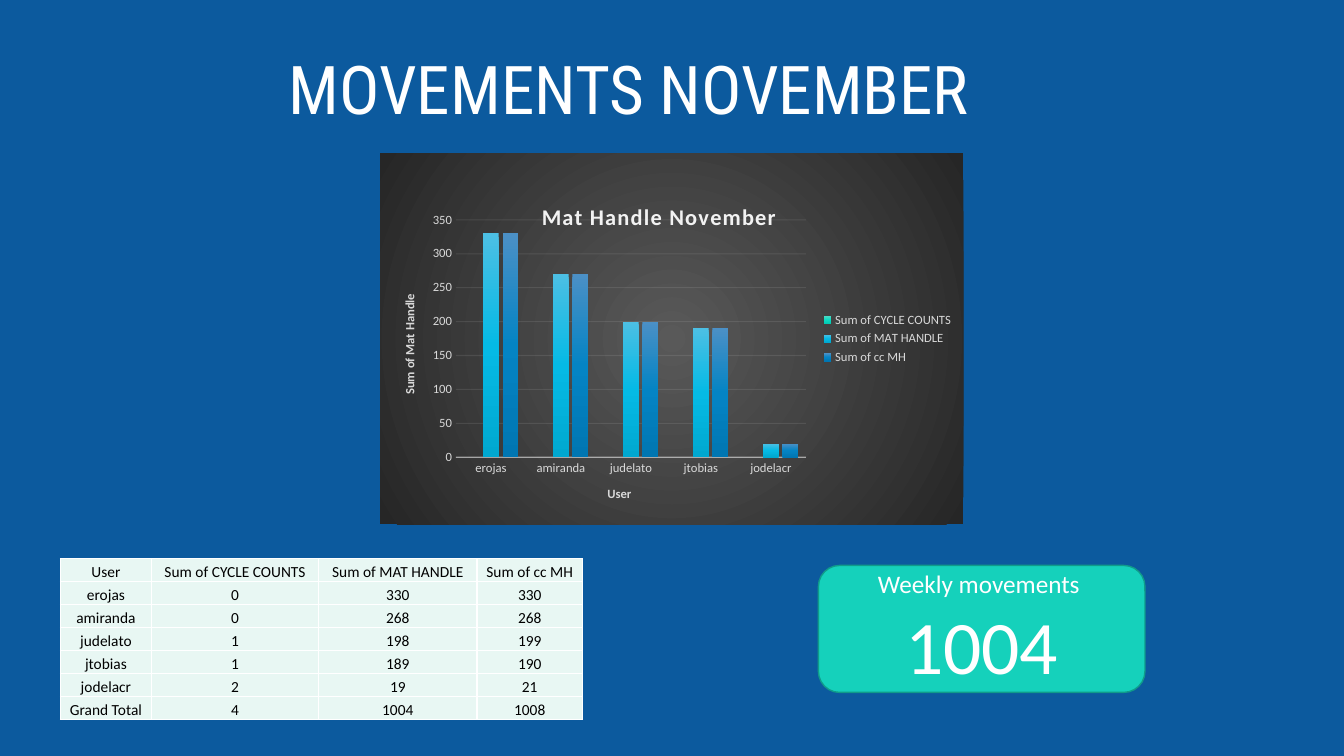
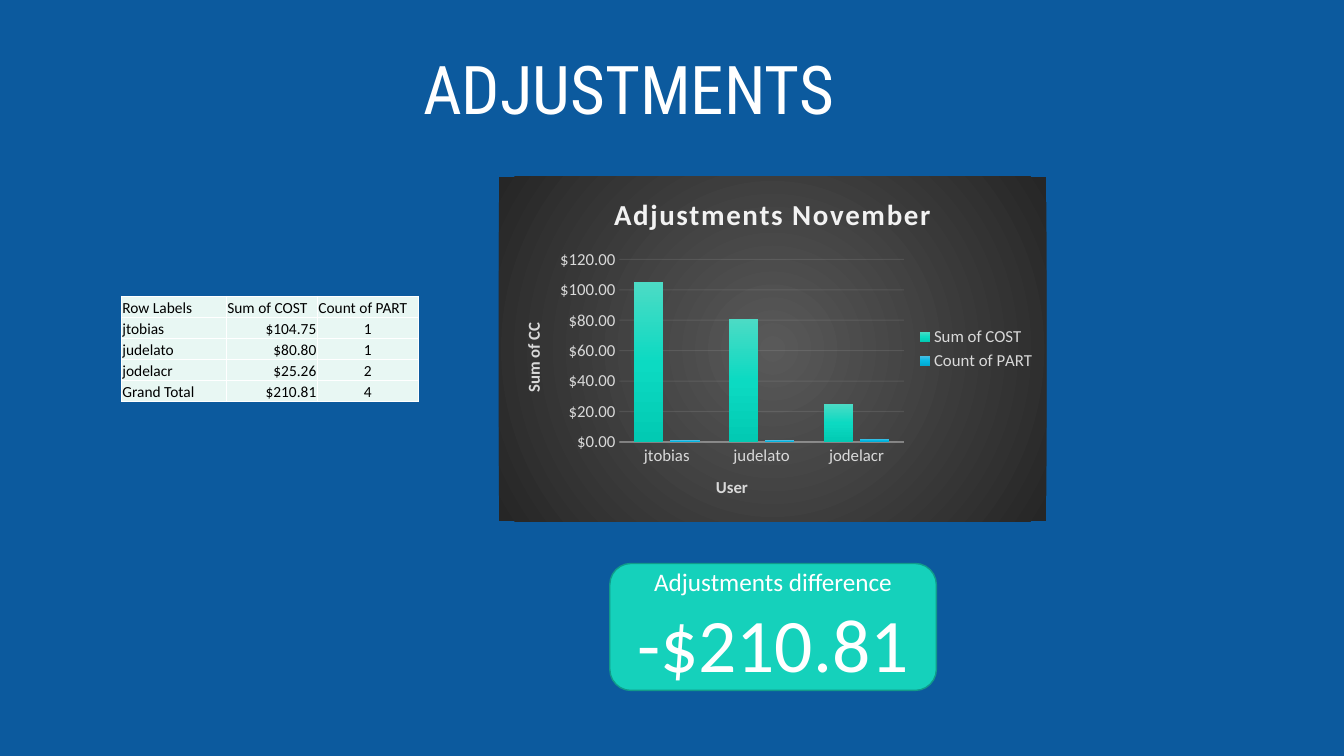
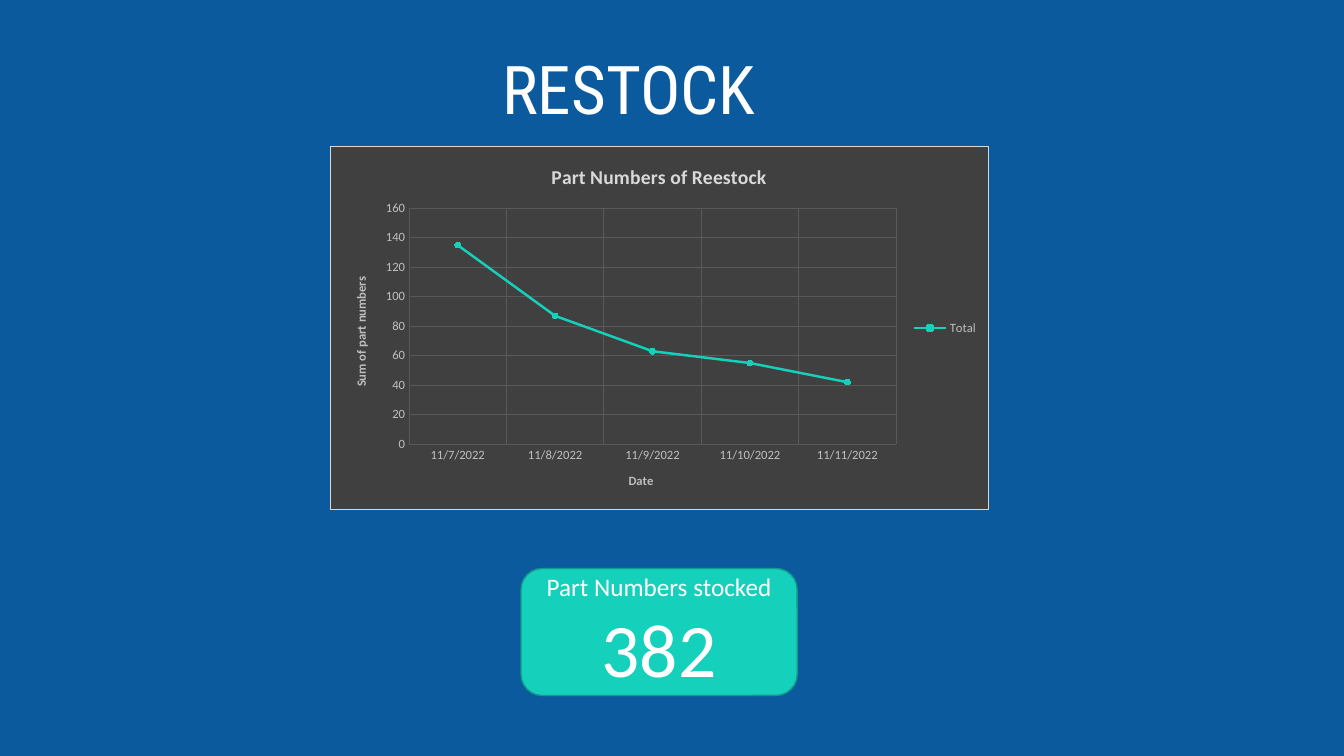
"""Build the three November warehouse report slides."""
import dataclasses

import lxml.etree
import pptx
import pptx.chart.data
import pptx.dml.color
import pptx.enum.chart
import pptx.enum.shapes
import pptx.enum.text
import pptx.oxml
import pptx.oxml.ns
import pptx.util

Pt = pptx.util.Pt
ALIGN = pptx.enum.text.PP_ALIGN
ANCHOR = pptx.enum.text.MSO_ANCHOR
CHART = pptx.enum.chart.XL_CHART_TYPE
qn = pptx.oxml.ns.qn
NAMESPACES = pptx.oxml.ns.nsdecls("a", "c")


@dataclasses.dataclass(frozen=True)
class Theme:
    """Colours, fonts and type sizes of the deck."""

    background: str = "0C5A9E"
    white: str = "FFFFFF"
    black: str = "000000"
    teal: str = "15D1BB"
    teal_edge: str = "109B8A"
    cell: str = "E8F7F3"
    bright: str = "F2F2F2"
    label: str = "D9D9D9"
    muted: str = "BFBFBF"
    charcoal: str = "404040"
    grid: str = "595959"
    panel: tuple = ("595959", "262626")
    teal_bar: tuple = ("4CDBC5", "0CDAC2", "02CAB3")
    cyan_bar: tuple = ("4CBFE4", "05BAE5", "00A8D0")
    blue_bar: tuple = ("4B90C6", "0484C4", "0076B2")
    body_font: str = "Calibri"
    title_font: str = "Roboto Condensed"
    title_size: int = 48
    figure_size: int = 54
    caption_size: int = 18
    table_size: int = 11


THEME = Theme()


@dataclasses.dataclass(frozen=True)
class ChartStyle:
    """Type sizes, colours and plot position of one chart."""

    plot: tuple
    scale: tuple
    title_size: float
    label_size: int = 9
    label: str = THEME.label
    title: str = THEME.bright
    spacing: int = 100
    title_at: tuple = ()
    number_format: str = "General"


def rgb(value):
    """Return a colour object for a hex string."""
    return pptx.dml.color.RGBColor.from_string(value)


def apply(target, values):
    """Set each named value on the target."""
    for name, value in values.items():
        setattr(target, name, value)


def style_font(font, size, color, name=THEME.body_font, bold=False):
    """Give a font its size, colour, family and weight."""
    apply(font, {"size": Pt(size), "name": name, "bold": bold})
    font.color.rgb = rgb(color)


def style_line(line, color, width, alpha=100):
    """Give a line its colour, width and opacity in percent."""
    line.color.rgb = rgb(color)
    line.width = Pt(width)
    if alpha < 100:
        tint = line._get_or_add_ln().find(".//" + qn("a:srgbClr"))
        lxml.etree.SubElement(tint, qn("a:alpha")).set("val", str(alpha * 1000))


def fill_solid(target, color):
    """Fill the target with one colour."""
    target.fill.solid()
    target.fill.fore_color.rgb = rgb(color)


def gradient_xml(colors, direction):
    """Return gradient fill markup with evenly spaced stops."""
    step = 100000 // (len(colors) - 1)
    stops = "".join(
        f'<a:gs pos="{index * step}"><a:srgbClr val="{color}"/></a:gs>'
        for index, color in enumerate(colors))
    return f"<a:gradFill {NAMESPACES}><a:gsLst>{stops}</a:gsLst>{direction}</a:gradFill>"


def write_para(para, text, size, color, align=ALIGN.CENTER, name=THEME.body_font):
    """Write one styled run into a paragraph."""
    para.alignment = align
    span = para.add_run()
    span.text = text
    style_font(span.font, size, color, name)


def add_page(deck, title):
    """Add a blank slide with the shared title."""
    page = deck.slides.add_slide(deck.slide_layouts[6])
    box = page.shapes.add_textbox(Pt(167), Pt(26), Pt(564.5), Pt(69.8))
    apply(box.text_frame, {
        "word_wrap": True, "vertical_anchor": ANCHOR.BOTTOM,
        "margin_left": 0, "margin_right": 0})
    para = box.text_frame.paragraphs[0]
    para.line_spacing = 0.9
    write_para(para, title, THEME.title_size, THEME.white, name=THEME.title_font)
    return page


def add_card(page, left, top, width, caption, figure):
    """Add a rounded card with a caption above a large figure."""
    card = page.shapes.add_shape(
        pptx.enum.shapes.MSO_SHAPE.ROUNDED_RECTANGLE,
        Pt(left), Pt(top), Pt(width), Pt(90.7))
    card.shadow.inherit = False
    fill_solid(card, THEME.teal)
    style_line(card.line, THEME.teal_edge, 1)
    frame = card.text_frame
    apply(frame, {"word_wrap": True, "vertical_anchor": ANCHOR.MIDDLE})
    write_para(frame.paragraphs[0], caption, THEME.caption_size, THEME.white)
    write_para(frame.add_paragraph(), figure, THEME.figure_size, THEME.white)


def border_cell(cell):
    """Draw a thin white border on each side of a cell."""
    properties = cell._tc.get_or_add_tcPr()
    for side in ("lnL", "lnR", "lnT", "lnB"):
        properties.append(pptx.oxml.parse_xml(
            f'<a:{side} {NAMESPACES} w="12700"><a:solidFill>'
            f'<a:srgbClr val="{THEME.white}"/></a:solidFill></a:{side}>'))


def add_table(page, left, top, widths, row_height, rows, head_align, aligns):
    """Add a plain table with a column alignment for its body."""
    frame = page.shapes.add_table(
        len(rows), len(widths), Pt(left), Pt(top),
        Pt(sum(widths)), Pt(row_height * len(rows)))
    table = frame.table
    apply(table, {"first_row": False, "horz_banding": False})
    for column, width in zip(table.columns, widths):
        column.width = Pt(width)
    for row_index, values in enumerate(rows):
        table.rows[row_index].height = Pt(row_height)
        for column_index, text in enumerate(values):
            cell = table.cell(row_index, column_index)
            apply(cell, {
                "margin_left": Pt(0.7), "margin_right": Pt(0.7),
                "margin_top": Pt(0.7), "margin_bottom": 0,
                "vertical_anchor": ANCHOR.BOTTOM})
            border_cell(cell)
            fill_solid(cell, THEME.cell)
            align = aligns[column_index] if row_index else head_align
            write_para(cell.text_frame.paragraphs[0], text,
                       THEME.table_size, THEME.black, align)


def layout_xml(position, inner=False):
    """Return manual layout markup for fractions of the chart area."""
    target = '<c:layoutTarget val="inner"/>' if inner else ""
    modes = "".join(f'<c:{axis}Mode val="edge"/>' for axis in "xy")
    parts = "".join(f'<c:{name} val="{value}"/>' for name, value in zip("xywh", position))
    return (f"<c:layout {NAMESPACES}><c:manualLayout>{target}{modes}{parts}"
            "</c:manualLayout></c:layout>")


def place_plot(chart, position):
    """Fix the inner plot area."""
    area = chart._chartSpace.find(".//" + qn("c:plotArea"))
    for layout in area.findall(qn("c:layout")):
        area.remove(layout)
    area.insert(0, pptx.oxml.parse_xml(layout_xml(position, inner=True)))


def title_chart(chart, text, style):
    """Write the chart title with its letter spacing and place."""
    chart.has_title = True
    title = chart.chart_title
    write_para(title.text_frame.paragraphs[0], text, style.title_size, style.title)
    title.include_in_layout = False
    font = title.text_frame.paragraphs[0].runs[0].font
    font.bold = True
    font._element.set("spc", str(style.spacing))
    if style.title_at:
        for layout in title._element.findall(qn("c:layout")):
            title._element.remove(layout)
        title._element.find(qn("c:tx")).addnext(
            pptx.oxml.parse_xml(layout_xml(style.title_at)))


def style_axis(axis, text, style):
    """Label an axis and remove its ticks and line."""
    none = pptx.enum.chart.XL_TICK_MARK.NONE
    apply(axis, {"major_tick_mark": none, "minor_tick_mark": none, "has_title": True})
    para = axis.axis_title.text_frame.paragraphs[0]
    write_para(para, text, style.label_size, style.label)
    para.runs[0].font.bold = True
    style_font(axis.tick_labels.font, style.label_size, style.label)
    axis.format.line.fill.background()


def fill_panel(chart, markup):
    """Give the chart area its fill and border."""
    space = chart._chartSpace
    space.find(qn("c:chart")).addnext(
        pptx.oxml.parse_xml(f"<c:spPr {NAMESPACES}>{markup}</c:spPr>"))
    if space.find(qn("c:roundedCorners")) is None:
        corners = pptx.oxml.parse_xml(f'<c:roundedCorners {NAMESPACES} val="0"/>')
        space.find(qn("c:date1904")).addnext(corners)


def add_chart(page, kind, area, title, axis_titles, categories, series, style):
    """Add a chart with titles, axes and a legend on the right."""
    data = pptx.chart.data.CategoryChartData(number_format=style.number_format)
    data.categories = categories
    for name, values in series:
        data.add_series(name, values)
    chart = page.shapes.add_chart(kind, *map(Pt, area), data).chart
    style_font(chart.font, 10, style.label)
    title_chart(chart, title, style)
    place_plot(chart, style.plot)
    for axis, text in zip((chart.category_axis, chart.value_axis), axis_titles):
        style_axis(axis, text, style)
    maximum, unit = style.scale
    apply(chart.value_axis, {
        "minimum_scale": 0, "maximum_scale": maximum,
        "major_unit": unit, "has_major_gridlines": True})
    apply(chart.value_axis.tick_labels, {
        "number_format": style.number_format, "number_format_is_linked": False})
    chart.has_legend = True
    apply(chart.legend, {
        "position": pptx.enum.chart.XL_LEGEND_POSITION.RIGHT,
        "include_in_layout": False})
    style_font(chart.legend.font, style.label_size, style.label)
    return chart


def add_column_chart(page, area, title, axis_titles, categories, series, style):
    """Add clustered gradient columns on a dark radial panel."""
    chart = add_chart(page, CHART.COLUMN_CLUSTERED, area, title,
                      axis_titles, categories, series, style)
    radial = ('<a:path path="circle"><a:fillToRect l="50000" t="50000" '
              'r="50000" b="50000"/></a:path>')
    fill_panel(chart, gradient_xml(THEME.panel, radial) + "<a:ln><a:noFill/></a:ln>")
    style_line(chart.category_axis.format.line, THEME.bright, 1, 54)
    style_line(chart.value_axis.major_gridlines.format.line, THEME.bright, 0.75, 10)
    plot = chart.plots[0]
    apply(plot, {"gap_width": 100, "overlap": -24, "vary_by_categories": False})
    for column, colors in zip(plot.series, (THEME.teal_bar, THEME.cyan_bar, THEME.blue_bar)):
        markup = gradient_xml(colors, '<a:lin ang="5400000" scaled="0"/>')
        column._element.get_or_add_spPr().append(pptx.oxml.parse_xml(markup))


def add_line_chart(page, area, title, axis_titles, categories, series, style):
    """Add a marked line on a flat dark panel."""
    chart = add_chart(page, CHART.LINE_MARKERS, area, title,
                      axis_titles, categories, series, style)
    fill_panel(chart, (
        f'<a:solidFill><a:srgbClr val="{THEME.charcoal}"/></a:solidFill>'
        f'<a:ln w="9525"><a:solidFill><a:srgbClr val="{THEME.label}"/>'
        "</a:solidFill></a:ln>"))
    chart.category_axis.has_major_gridlines = True
    for axis in (chart.category_axis, chart.value_axis):
        style_line(axis.major_gridlines.format.line, THEME.grid, 0.75)
    chart.plots[0].vary_by_categories = False
    for line in chart.plots[0].series:
        line.smooth = False
        style_line(line.format.line, THEME.teal, 1.75)
        apply(line.marker, {"style": pptx.enum.chart.XL_MARKER_STYLE.CIRCLE, "size": 4})
        fill_solid(line.marker.format, THEME.teal)
        style_line(line.marker.format.line, THEME.teal, 0.75)


def add_movements(deck):
    """Add the movements slide."""
    page = add_page(deck, "MOVEMENTS NOVEMBER")
    users = ("erojas", "amiranda", "judelato", "jtobias", "jodelacr")
    sums = (
        ("Sum of CYCLE COUNTS", (0, 0, 1, 1, 2)),
        ("Sum of MAT HANDLE", (330, 268, 198, 189, 19)),
        ("Sum of cc MH", (330, 268, 199, 190, 21)))
    columns = [(name, *map(str, values), str(sum(values))) for name, values in sums]
    rows = list(zip(("User", *users, "Grand Total"), *columns))
    add_table(page, 43.2, 399.2, (65, 119.5, 113, 75.5), 16.4, rows,
              ALIGN.CENTER, [ALIGN.CENTER] * 4)
    series = [(name, [round(value, -1) for value in values]) for name, values in sums]
    add_column_chart(
        page, (271.6, 109.4, 416.6, 265), "Mat Handle November",
        ("User", "Sum of Mat Handle"), users, series,
        ChartStyle(plot=(0.13, 0.18, 0.6, 0.64), scale=(350, 50),
                   title_size=16, title_at=(0.27, 0.12)))
    add_card(page, 584.6, 403.9, 233.3, "Weekly movements ", "1004")


def add_adjustments(deck):
    """Add the adjustments slide."""
    page = add_page(deck, "ADJUSTMENTS")
    users = ("jtobias", "judelato", "jodelacr")
    costs, parts = (104.75, 80.8, 25.26), (1, 1, 2)
    rows = [("Row Labels", "Sum of COST", "Count of PART")]
    rows += [(user, f"${cost:.2f}", str(count)) for user, cost, count in zip(
        (*users, "Grand Total"), (*costs, sum(costs)), (*parts, sum(parts)))]
    add_card(page, 435.6, 402.5, 233.3, "Adjustments difference", "-$210.81")
    add_table(page, 86.7, 211.7, (75, 65, 72), 15, rows,
              ALIGN.LEFT, (ALIGN.LEFT, ALIGN.RIGHT, ALIGN.CENTER))
    add_column_chart(
        page, (356.4, 126.2, 391, 246.2), "Adjustments November",
        ("User", "Sum of CC"), users,
        (("Sum of COST", [round(cost) for cost in costs]), ("Count of PART", parts)),
        ChartStyle(plot=(0.22, 0.24, 0.52, 0.53), scale=(120, 20), title_size=20.7,
                   label_size=12, number_format='"$"#,##0.00'))


def add_restock(deck):
    """Add the restock slide."""
    page = add_page(deck, "RESTOCK")
    counts = (135, 87, 63, 55, 42)
    dates = [f"11/{day}/2022" for day in range(7, 12)]
    add_card(page, 372.2, 406.1, 197.3, "Part Numbers stocked", str(sum(counts)))
    add_line_chart(
        page, (235.4, 104.4, 470.9, 259.9), "Part Numbers of Reestock",
        ("Date", "Sum of part numbers"), dates, (("Total", counts),),
        ChartStyle(plot=(0.12, 0.17, 0.74, 0.65), scale=(160, 20), title_size=14,
                   label=THEME.muted, title=THEME.label, spacing=0))


def main():
    """Build and save the deck."""
    deck = pptx.Presentation()
    apply(deck, {"slide_width": Pt(960), "slide_height": Pt(540)})
    fill_solid(deck.slide_master.background, THEME.background)
    for add_slide in (add_movements, add_adjustments, add_restock):
        add_slide(deck)
    deck.save("out.pptx")


if __name__ == "__main__":
    main()
